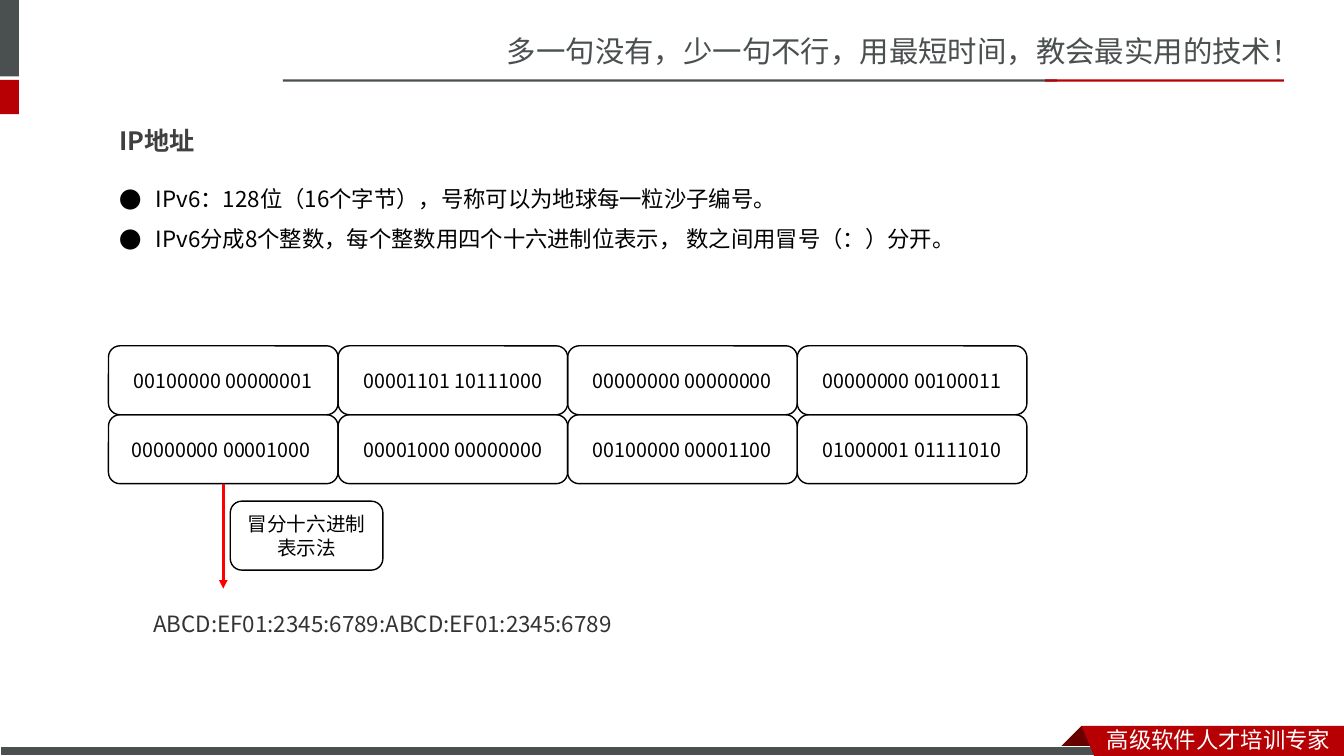
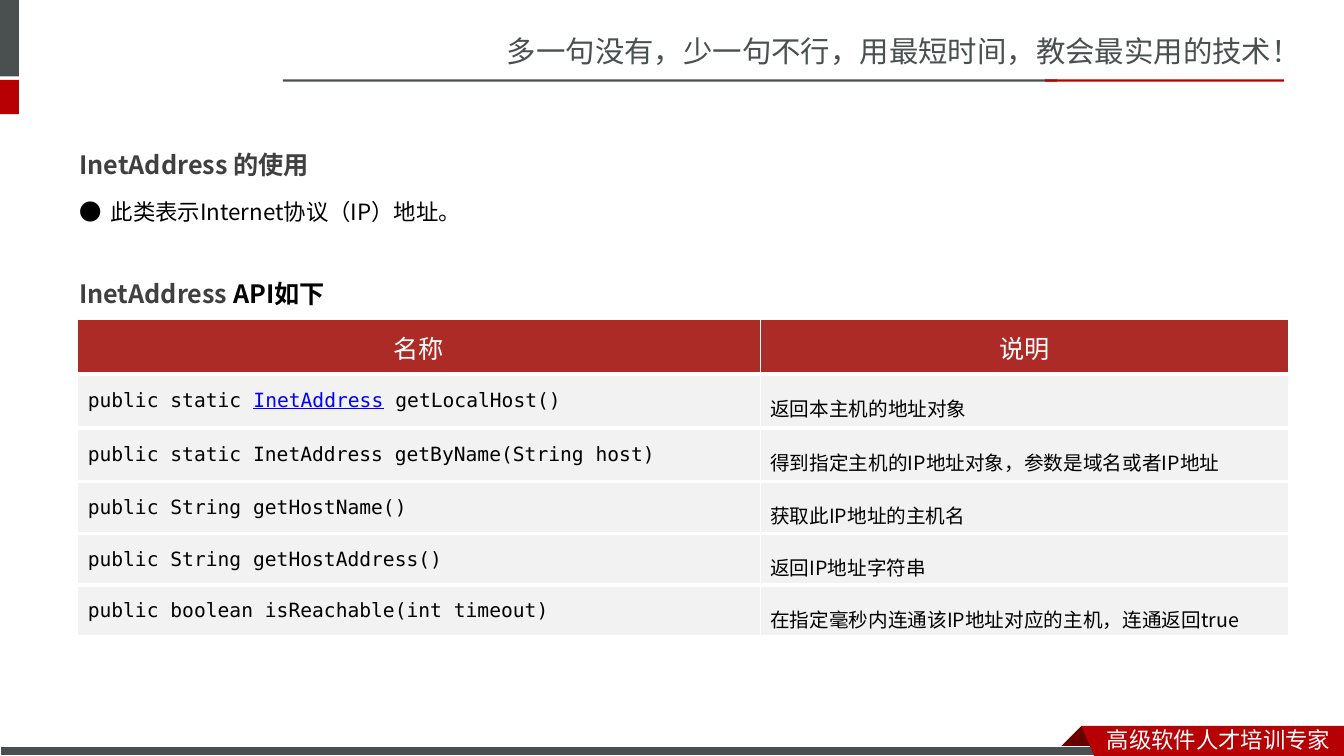
"""Two slides on IP addresses and the InetAddress API."""
from lxml import etree
from pptx import Presentation
from pptx.dml.color import RGBColor
from pptx.enum.shapes import MSO_CONNECTOR, MSO_SHAPE
from pptx.enum.text import MSO_ANCHOR, MSO_AUTO_SIZE, PP_ALIGN
from pptx.oxml.ns import qn
from pptx.util import Pt

RECT, ROUND = MSO_SHAPE.RECTANGLE, MSO_SHAPE.ROUNDED_RECTANGLE
STRAIGHT = MSO_CONNECTOR.STRAIGHT
TOP, MIDDLE = MSO_ANCHOR.TOP, MSO_ANCHOR.MIDDLE
LEFT, CENTER = PP_ALIGN.LEFT, PP_ALIGN.CENTER
NO_FIT = MSO_AUTO_SIZE.NONE

COLORS = {
    "slate": "49504F", "red": "B60004", "fold": "680000", "header": "AD2B26",
    "cell": "F2F2F2", "white": "FFFFFF", "black": "000000", "title": "404040",
    "code": "333333", "arrow": "FF0000", "link": "0000FF",
}
JP, SC = "Noto Sans CJK JP", "Noto Sans CJK SC"
MONO, LATO = "DejaVu Sans Mono", "Lato"
WIDTH, HEIGHT = 960, 540

BITS = [
    ["00100000 00000001", "00001101 10111000", "00000000 00000000", "00000000 00100011"],
    ["00000000 00001000 ", "00001000 00000000", "00100000 00001100", "01000001 01111010"],
]
API = [
    (["public static ", "InetAddress", " getLocalHost()"], "返回本主机的地址对象"),
    (["public static InetAddress getByName(String host)"],
     "得到指定主机的IP地址对象，参数是域名或者IP地址"),
    (["public String getHostName()"], "获取此IP地址的主机名"),
    (["public String getHostAddress()"], "返回IP地址字符串"),
    (["public boolean isReachable(int timeout)"],
     "在指定毫秒内连通该IP地址对应的主机，连通返回true"),
]


def rgb(name):
    """Return the named colour."""
    return RGBColor.from_string(COLORS[name])


def style(p, size, color, font, bold=False, align=LEFT, spacing=1.0):
    """Format a whole paragraph, East Asian letters included."""
    p.alignment, p.line_spacing = align, spacing
    p.space_before = p.space_after = Pt(0)
    p.font.size, p.font.name, p.font.bold = Pt(size), font, bold
    p.font.color.rgb = rgb(color)
    props = p._p.pPr.find(qn("a:defRPr"))
    etree.SubElement(props, qn("a:ea"), typeface=font)


def place(shape, box):
    """Move a shape to a box given in points."""
    shape.left, shape.top, shape.width, shape.height = map(Pt, box)


def add_runs(p, parts):
    """Add (text, colour or None) runs to a paragraph."""
    for text, color in parts:
        r = p.add_run()
        r.text = text
        if color:
            r.font.color.rgb = rgb(color)
    return p


def add_text(s, box, parts, size, color, font, **kw):
    """Add a one-paragraph text box."""
    tf = s.shapes.add_textbox(*map(Pt, box)).text_frame
    tf.word_wrap = True
    style(add_runs(tf.paragraphs[0], parts), size, color, font, **kw)


def paint(shape, fill=None, line=None, weight=1.0):
    """Set fill and outline and drop the shadow."""
    shape.shadow.inherit = False
    if fill:
        shape.fill.solid()
        shape.fill.fore_color.rgb = rgb(fill)
    else:
        shape.fill.background()
    if line:
        shape.line.color.rgb = rgb(line)
        shape.line.width = Pt(weight)
    else:
        shape.line.fill.background()


def add_bar(s, box, fill, line=None):
    """Add a flat rectangle."""
    paint(s.shapes.add_shape(RECT, *map(Pt, box)), fill, line, 0.75)


def add_polygon(s, points, fill):
    """Add a closed filled outline."""
    points = [(Pt(x), Pt(y)) for x, y in points]
    builder = s.shapes.build_freeform(*points[0])
    builder.add_line_segments(points[1:], close=True)
    paint(builder.convert_to_shape(), fill)


def add_frame(s):
    """Draw the header and footer bands."""
    add_text(s, (355, 20, 600, 34), [("多一句没有，少一句不行，用最短时间，教会最实用的技术！", None)],
             21, "slate", SC)
    for box, fill in [((0, 0, 13.5, 54.5), "slate"), ((0, 57, 13.5, 24.5), "red"),
                      ((202, 56.7, 553, 1.6), "slate"), ((746.5, 56.7, 170.5, 1.6), "red")]:
        add_bar(s, box, fill)
    x, y = 772.5, 518.5
    add_polygon(s, [(x, y), (x + 16, y + 16), (x - 16, y + 16)], "fold")
    add_bar(s, (0, 533.5, 790, HEIGHT - 533.5), "slate", "white")
    add_polygon(s, [(x, y), (WIDTH, y), (WIDTH, HEIGHT), (x + 9, HEIGHT)], "red")
    add_text(s, (783.5, 515, 176.5, 27), [("高级软件人才培训专家", None)], 16, "white", SC)


def fill_title(s, box, text, font):
    """Place and format the title."""
    place(s.shapes.title, box)
    tf = s.shapes.title.text_frame
    tf.text = text
    tf.auto_size, tf.vertical_anchor = NO_FIT, TOP
    style(tf.paragraphs[0], 18, "title", font, bold=True, spacing=1.5)


def fill_bullets(s, box, lines, font):
    """Place and format the bulleted list."""
    body = s.placeholders[1]
    place(body, box)
    tf = body.text_frame
    tf.text = "\n".join(lines)
    tf.auto_size, tf.vertical_anchor = NO_FIT, TOP
    for p in tf.paragraphs:
        props = p._p.get_or_add_pPr()
        props.set("marL", str(Pt(22.5)))
        props.set("indent", str(-Pt(22.5)))
        etree.SubElement(props, qn("a:buFont"), typeface=font)
        etree.SubElement(props, qn("a:buChar"), char="●")
        style(p, 16, "black", font, spacing=1.5)


def add_box(s, box, text):
    """Add an outlined rounded box with centred text."""
    shape = s.shapes.add_shape(ROUND, *map(Pt, box))
    paint(shape, line="black")
    tf = shape.text_frame
    tf.text, tf.vertical_anchor = text, MIDDLE
    for p in tf.paragraphs:
        style(p, 14, "black", JP, align=CENTER)
    return shape


def add_bits(s, box):
    """Draw the grid of bit groups and the arrow to the hexadecimal form."""
    x, y, w, h = box
    w, h = w / len(BITS[0]), h / len(BITS)
    grid = [[add_box(s, (x + c * w, y + r * h, w, h), text) for c, text in enumerate(row)]
            for r, row in enumerate(BITS)]
    mid, bottom = x + w / 2, y + len(BITS) * h
    arrow = s.shapes.add_connector(STRAIGHT, Pt(mid), Pt(bottom), Pt(mid), Pt(bottom + 75))
    arrow.begin_connect(grid[-1][0], 2)
    arrow.line.color.rgb, arrow.line.width = rgb("arrow"), Pt(2)
    etree.SubElement(arrow.line._get_or_add_ln(), qn("a:tailEnd"), type="triangle")
    etree.SubElement(arrow._element.spPr, qn("a:effectLst"))
    add_box(s, (mid + 5, bottom + 12.5, 109, h), "冒分十六进制\n表示法")
    add_text(s, (x + 25, bottom + 87, 480, 27),
             [("ABCD:EF01:2345:6789:ABCD:EF01:2345:6789", None)], 16, "code", JP)


def format_cell(cell, fill, top):
    """Fill a cell and give it white borders."""
    cell.fill.solid()
    cell.fill.fore_color.rgb = rgb(fill)
    cell.vertical_anchor = MIDDLE
    props = cell._tc.get_or_add_tcPr()
    for i, (side, weight) in enumerate([("L", 1), ("R", 1), ("T", top), ("B", 3)]):
        ln = etree.Element(qn("a:ln" + side), w=str(Pt(weight)))
        solid = etree.SubElement(ln, qn("a:solidFill"))
        etree.SubElement(solid, qn("a:srgbClr"), val=COLORS["white"])
        props.insert(i, ln)


def add_api_table(s, box):
    """Add the table of methods."""
    table = s.shapes.add_table(len(API) + 1, 2, *map(Pt, box)).table
    table.horz_banding = False
    table.columns[0].width, table.columns[1].width = Pt(487.5), Pt(box[2] - 487.5)
    for i, row in enumerate(table.rows):
        row.height = Pt(38.5 if i < 3 else 37)
        for cell in row.cells:
            format_cell(cell, "cell" if i else "header", 3 if i else 1)
    for c, text in enumerate(["名称", "说明"]):
        p = add_runs(table.cell(0, c).text_frame.paragraphs[0], [(text, None)])
        style(p, 18, "white", LATO, align=CENTER, spacing=Pt(24))
    for i, (code, note) in enumerate(API, 1):
        p = table.cell(i, 0).text_frame.paragraphs[0]
        add_runs(p, [(t, "link" if t == "InetAddress" else None) for t in code])
        for r in p.runs:
            if r.text == "InetAddress":
                r.font.underline = True
        style(p, 14, "black", MONO)
        p = add_runs(table.cell(i, 1).text_frame.paragraphs[0], [(note, None)])
        style(p, 14, "black", SC, spacing=1.5)


def address_slide(s):
    """Build the slide on IPv6 addresses."""
    fill_title(s, (78, 75, 368.5, 36.5), "IP地址", JP)
    fill_bullets(s, (78, 119, 871, 62.5), [
        " IPv6：128位（16个字节），号称可以为地球每一粒沙子编号。",
        " IPv6分成8个整数，每个整数用四个十六进制位表示， 数之间用冒号（：）分开。"], JP)
    add_bits(s, (77.5, 247, 656, 98.5))


def api_slide(s):
    """Build the slide on InetAddress."""
    fill_title(s, (49.5, 92, 407, 36), "InetAddress 的使用", SC)
    fill_bullets(s, (49.5, 128, 839.5, 40), ["此类表示Internet协议（IP）地址。"], SC)
    add_api_table(s, (55.5, 228.5, 865, 226.5))
    add_text(s, (49.5, 184.5, 480, 36.5), [("InetAddress ", None), ("API如下", "black")],
             18, "title", JP, bold=True, spacing=1.5)


def main():
    """Build and save the presentation."""
    prs = Presentation()
    prs.slide_width, prs.slide_height = Pt(WIDTH), Pt(HEIGHT)
    for build in (address_slide, api_slide):
        s = prs.slides.add_slide(prs.slide_layouts[1])
        add_frame(s)
        build(s)
    prs.save("out.pptx")


if __name__ == "__main__":
    main()
